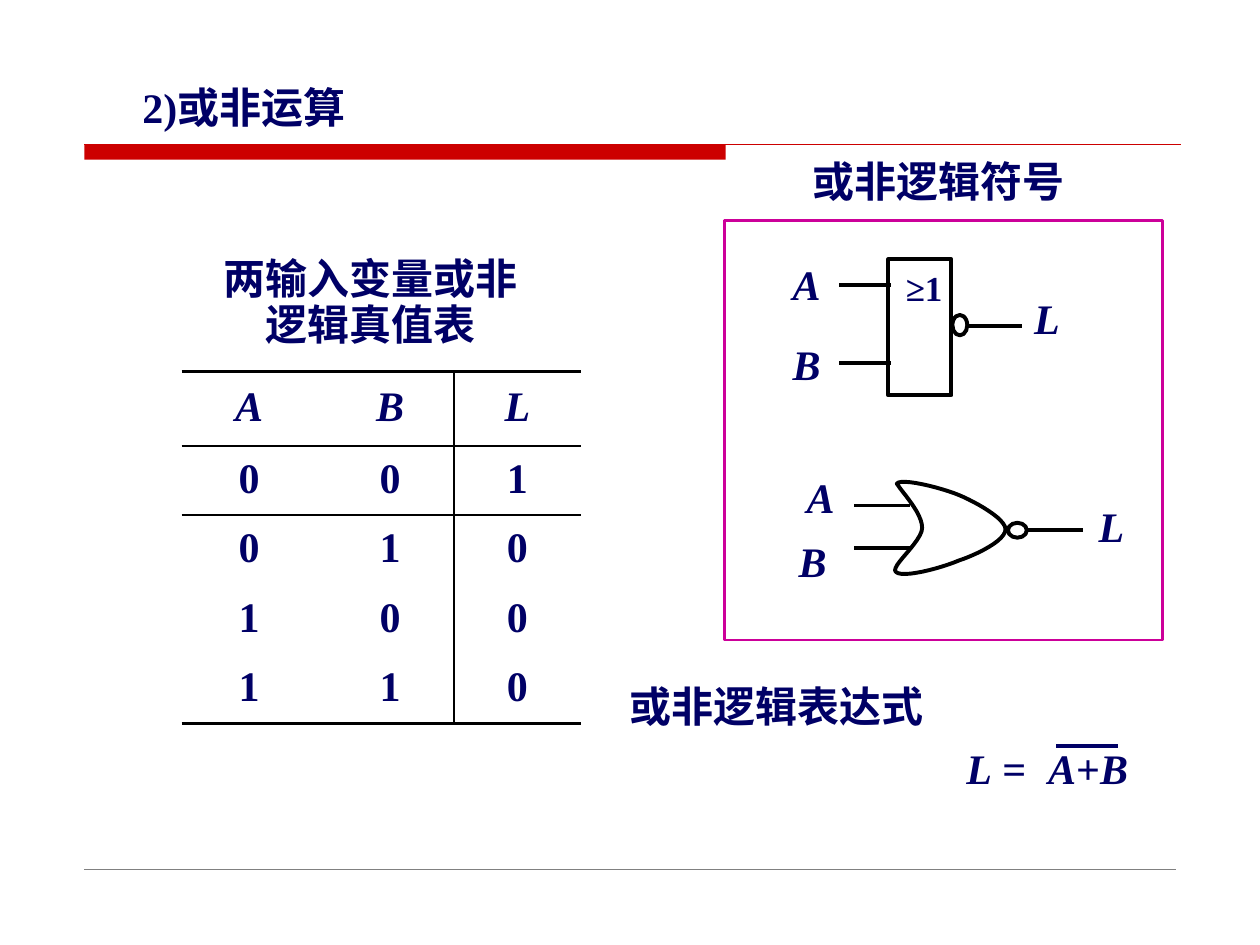
from itertools import groupby

from lxml import etree
from pptx import Presentation
from pptx.dml.color import RGBColor
from pptx.enum import shapes, text
from pptx.oxml import ns
from pptx.util import Cm, Pt

NAVY, BLACK, RED = "000066", "000000", "CC0000"
MID = text.PP_ALIGN.CENTER


def rgb(value):
    return RGBColor.from_string(value)


def write(tf, content, size=24, align=None, spacing=0.9, tab=None):
    """Fill a text frame; the variables A, B and L are set in italics."""
    tf.margin_left = tf.margin_right = tf.margin_top = tf.margin_bottom = 0
    for i, row in enumerate(content.split("\n")):
        p = tf.paragraphs[0] if i == 0 else tf.add_paragraph()
        if tab:
            tabs = etree.SubElement(p._p.get_or_add_pPr(), ns.qn("a:tabLst"))
            etree.SubElement(tabs, ns.qn("a:tab"), pos=str(Cm(tab)), algn="l")
        p.alignment, p.line_spacing = align, spacing
        for variable, chars in groupby(row, lambda c: c in "ABL"):
            r = p.add_run()
            r.text = "".join(chars)
            fmt = {"name": "Times New Roman", "size": Pt(size), "bold": True, "italic": variable}
            for key, value in fmt.items():
                setattr(r.font, key, value)
            r.font.color.rgb = rgb(NAVY)


prs = Presentation()
prs.slide_width, prs.slide_height = Cm(25.4), Cm(19.05)
s = prs.slides.add_slide(prs.slide_layouts[6])

# Header bar
bar = s.shapes.add_shape(shapes.MSO_SHAPE.RECTANGLE, Cm(1.7), Cm(2.92), Cm(12.93), Cm(0.3))
bar.shadow.inherit = False
bar.fill.solid()
bar.fill.fore_color.rgb = rgb(RED)
bar.line.fill.background()

# Truth table
rows = ["ABL", "001", "010", "100", "110"]
frame = s.shapes.add_table(5, 3, Cm(3.66), Cm(7.49), Cm(8.05), Cm(7.1))
table = frame.table
table.first_row = table.horz_banding = False
style = table._tbl.tblPr.find(ns.qn("a:tableStyleId"))
style.text = "{2D5ABB26-0587-4C30-8999-92F81FD0307C}"
for col, width in zip(table.columns, (2.72, 2.77, 2.56)):
    col.width = Cm(width)
for i, row in enumerate(rows):
    table.rows[i].height = Cm(1.5 if i == 0 else 1.4)
    for j, value in enumerate(row):
        cell = table.cell(i, j)
        write(cell.text_frame, value, align=MID)
        cell.margin_left = Cm(0.2 if j == 1 else 0)
        cell.margin_right = cell.margin_top = cell.margin_bottom = 0
        cell.vertical_anchor = text.MSO_ANCHOR.MIDDLE
        cell.fill.background()
        borders = {"lnL": j == 2, "lnR": j == 1, "lnT": i < 2, "lnB": i in (0, 4)}
        sides = [side for side, drawn in borders.items() if drawn]
        for k, side in enumerate(sides):
            ln = etree.Element(ns.qn("a:" + side), w=str(Pt(1.5)))
            fill = etree.SubElement(ln, ns.qn("a:solidFill"))
            etree.SubElement(fill, ns.qn("a:srgbClr"), val=BLACK)
            cell._tc.get_or_add_tcPr().insert(k, ln)

# Curved gate: cubic segments as (control, control, end)
start = (18.08, 9.75)
curves = [
    ((18.16, 9.63), (18.97, 9.83), (19.33, 9.98)),
    ((19.69, 10.13), (20.27, 10.46), (20.27, 10.67)),
    ((20.27, 10.9), (19.69, 11.18), (19.33, 11.3)),
    ((18.95, 11.46), (18.19, 11.66), (18.06, 11.53)),
    ((17.93, 11.43), (18.59, 10.92), (18.59, 10.64)),
    ((18.59, 10.34), (18.19, 9.93), start),
]
points, p0 = [], start
for p1, p2, p3 in curves:
    for t in (n / 12 for n in range(1, 13)):
        points.append(tuple(
            Cm((1 - t) ** 3 * a + 3 * (1 - t) ** 2 * t * b + 3 * (1 - t) * t ** 2 * c + t ** 3 * d)
            for a, b, c, d in zip(p0, p1, p2, p3)))
    p0 = p3
builder = s.shapes.build_freeform(Cm(start[0]), Cm(start[1]))
builder.add_line_segments(points, close=True)
outlines = [(builder.convert_to_shape(), BLACK, 2.25)]

# Panel, rectangular gate and the two inversion bubbles
RECT, OVAL = shapes.MSO_SHAPE.RECTANGLE, shapes.MSO_SHAPE.OVAL
for kind, x, y, w, h, color, weight in [
    (RECT, 14.6, 4.44, 8.84, 8.46, "CC0099", 1.5),
    (RECT, 17.91, 5.23, 1.27, 2.74, BLACK, 2.25),
    (OVAL, 19.2, 6.35, 0.3, 0.41, BLACK, 2.25),
    (OVAL, 20.32, 10.54, 0.38, 0.3, BLACK, 2.25),
]:
    outlines.append((s.shapes.add_shape(kind, Cm(x), Cm(y), Cm(w), Cm(h)), color, weight))
for sp, color, weight in outlines:
    sp.shadow.inherit = False
    sp.fill.background()
    sp.line.color.rgb = rgb(color)
    sp.line.width = Pt(weight)

# Horizontal lines: rules, gate wires and the negation bar
for x1, x2, y, color, weight in [
    (1.7, 23.8, 2.92, RED, 0.75),
    (1.7, 23.7, 17.53, "808080", 0.25),
    (16.92, 17.96, 5.74, BLACK, 2.25),
    (16.92, 17.96, 7.32, BLACK, 2.25),
    (19.48, 20.6, 6.58, BLACK, 2.25),
    (17.22, 18.34, 10.19, BLACK, 2.25),
    (17.22, 18.39, 11.05, BLACK, 2.25),
    (20.7, 21.84, 10.69, BLACK, 2.25),
    (21.29, 22.53, 15.04, NAVY, 2.25),
]:
    line = s.shapes.add_connector(shapes.MSO_CONNECTOR.STRAIGHT, Cm(x1), Cm(y), Cm(x2), Cm(y))
    line.line.color.rgb = rgb(color)
    line.line.width = Pt(weight)
    etree.SubElement(line._element.spPr, ns.qn("a:effectLst"))

# Headings, gate labels and the expression
centred = {"align": MID}
plain = {"spacing": 1.0}
for content, x, y, w, h, fmt in [
    ("2)或非运算", 2.87, 1.65, 5, 1.02, plain),
    ("两输入变量或非\n逻辑真值表", 3.66, 5.21, 7.6, 1.83, centred),
    ("或非逻辑符号", 15.7, 3.25, 6.45, 0.91, centred),
    ("A", 15.98, 5.33, 0.56, 0.91, centred),
    ("B", 15.98, 6.93, 0.56, 0.91, centred),
    ("≥1", 18.2, 5.46, 0.86, 0.76, {"align": MID, "size": 20}),
    ("L", 20.85, 6.02, 0.51, 0.91, centred),
    ("A", 16.26, 9.63, 0.56, 0.91, centred),
    ("B", 16.1, 10.92, 0.56, 0.91, centred),
    ("L", 22.15, 10.21, 0.51, 0.91, centred),
    ("或非逻辑表达式", 12.7, 13.72, 6.63, 1.02, plain),
    ("L =\tA+B", 19.48, 14.96, 5.11, 1.02, {"spacing": 1.0, "tab": 1.65}),
]:
    tf = s.shapes.add_textbox(Cm(x), Cm(y), Cm(w), Cm(h)).text_frame
    tf.word_wrap = len(content) > 2
    write(tf, content, **fmt)

prs.save("out.pptx")
